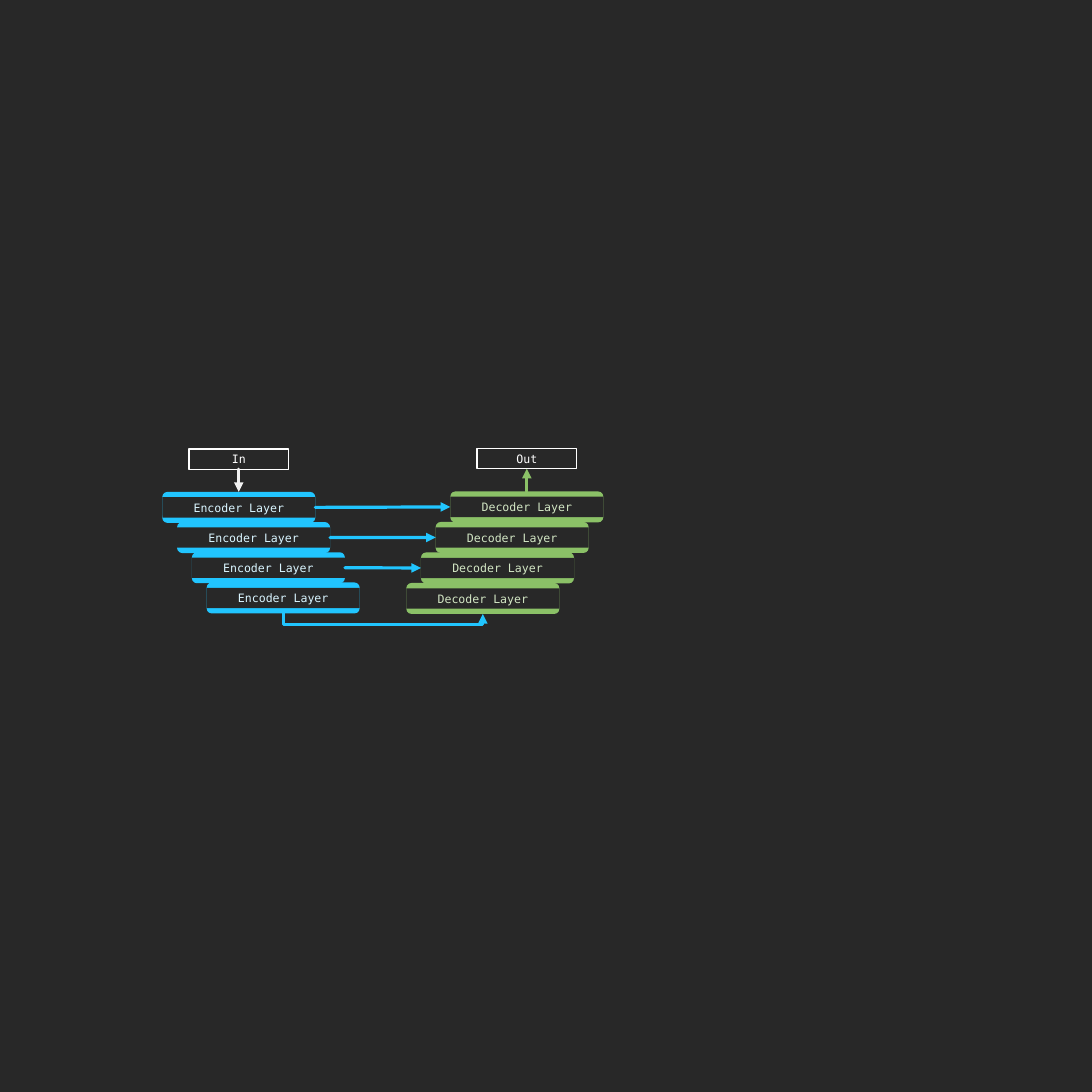
from pptx import Presentation
from pptx.dml.color import RGBColor
from pptx.enum.shapes import MSO_CONNECTOR as CXN, MSO_SHAPE as SHAPE
from pptx.enum.text import MSO_ANCHOR, PP_ALIGN
from pptx.oxml.ns import qn
from pptx.util import Inches, Pt
from lxml import etree

BACK, WHITE, PALE = "282828", "FFFFFF", "F2F2F2"
BLUE, GREEN = "21C5FF", "8BC167"
LAYER_W, LAYER_H = 3.31, 0.67
FACE_H = 0.44
PORT_W, PORT_GAP = 2.15, 0.49
LAYERS = 4
TOP, LEFT, BOTTOM, RIGHT = range(4)


def rgb(color):
    return RGBColor.from_string(color)


def add_block(shapes, kind, x, y, w, h, fill, line=None):
    sp = shapes.add_shape(kind, Inches(x), Inches(y), Inches(w), Inches(h))
    sp.shadow.inherit = False
    sp.fill.solid()
    sp.fill.fore_color.rgb = rgb(fill)
    if line:
        sp.line.color.rgb = rgb(line)
        sp.line.width = Pt(2)
    else:
        sp.line.fill.background()
    return sp


def write(sp, text, color):
    tf = sp.text_frame
    tf.vertical_anchor = MSO_ANCHOR.MIDDLE
    p = tf.paragraphs[0]
    p.text = text
    p.alignment = PP_ALIGN.CENTER
    p.font.name = "DejaVu Sans Mono"
    p.font.size = Pt(18)
    p.font.color.rgb = rgb(color)


def add_layer(s, x, y, text, fill, color):
    group = s.shapes.add_group_shape()
    bar = add_block(group.shapes, SHAPE.ROUNDED_RECTANGLE, x, y, LAYER_W, LAYER_H, fill)
    face = add_block(group.shapes, SHAPE.RECTANGLE, x, y + (LAYER_H - FACE_H) / 2,
                     LAYER_W, FACE_H, BACK)
    write(face, text, color)
    return bar


def add_stack(s, x, y, dx, dy, text, fill, color, order):
    bars = {i: add_layer(s, x + i * dx, y + i * dy, text, fill, color) for i in order}
    return [bars[i] for i in range(LAYERS)]


def add_port(s, bar, text):
    x = bar.left.inches + (LAYER_W - PORT_W) / 2
    y = bar.top.inches - PORT_GAP - FACE_H
    sp = add_block(s.shapes, SHAPE.RECTANGLE, x, y, PORT_W, FACE_H, BACK, WHITE)
    write(sp, text, WHITE)
    return sp


def style_arrow(c, color):
    c.line.color.rgb = rgb(color)
    c.line.width = Pt(5)
    ln = c.line._get_or_add_ln()
    ln.set("cap", "rnd")
    etree.SubElement(ln, qn("a:round"))
    etree.SubElement(ln, qn("a:tailEnd"), type="triangle")
    etree.SubElement(c._element.spPr, qn("a:effectLst"))


def add_arrow(s, start, start_site, end, end_site, color):
    c = s.shapes.add_connector(CXN.STRAIGHT, 0, 0, 0, 0)
    c.begin_connect(start, start_site)
    c.end_connect(end, end_site)
    style_arrow(c, color)


def add_return_arrow(s, start, end, color):
    thin, depth = 0.01, 0.25
    x1 = start.left.inches + LAYER_W / 2
    x2 = end.left.inches + LAYER_W / 2
    mid_x = (x1 + x2) / 2
    mid_y = end.top.inches + LAYER_H - thin / 2
    half = (x2 - x1) / 2
    c = s.shapes.add_connector(CXN.ELBOW, Inches(mid_x + thin / 2), Inches(mid_y - half),
                               Inches(mid_x - thin / 2), Inches(mid_y + half))
    spPr = c._element.spPr
    spPr.find(qn("a:xfrm")).set("rot", str(270 * 60000))
    guides = spPr.find(qn("a:prstGeom")).find(qn("a:avLst"))
    etree.SubElement(guides, qn("a:gd"), name="adj1",
                     fmla=f"val {round(depth / thin * 100000)}")
    style_arrow(c, color)


def add_network(s, x, y):
    down = range(LAYERS)
    encoders = add_stack(s, x, y, 0.32, 0.653, "Encoder Layer", BLUE, "D9F5FF", down)
    decoders = add_stack(s, x + 6.23, y - 0.01, -0.317, 0.66, "Decoder Layer", GREEN,
                         "D2E6C4", reversed(down))
    for encoder, decoder in zip(encoders[:-1], decoders):
        add_arrow(s, encoder, RIGHT, decoder, LEFT, BLUE)
    add_return_arrow(s, encoders[-1], decoders[-1], BLUE)
    add_arrow(s, add_port(s, encoders[0], "In"), BOTTOM, encoders[0], TOP, PALE)
    add_arrow(s, decoders[0], TOP, add_port(s, decoders[0], "Out"), BOTTOM, GREEN)


def main():
    prs = Presentation()
    prs.slide_width = prs.slide_height = Inches(23.62)
    s = prs.slides.add_slide(prs.slide_layouts[6])
    s.background.fill.solid()
    s.background.fill.fore_color.rgb = rgb(BACK)
    add_network(s, 3.51, 10.64)
    prs.save("out.pptx")


if __name__ == "__main__":
    main()
